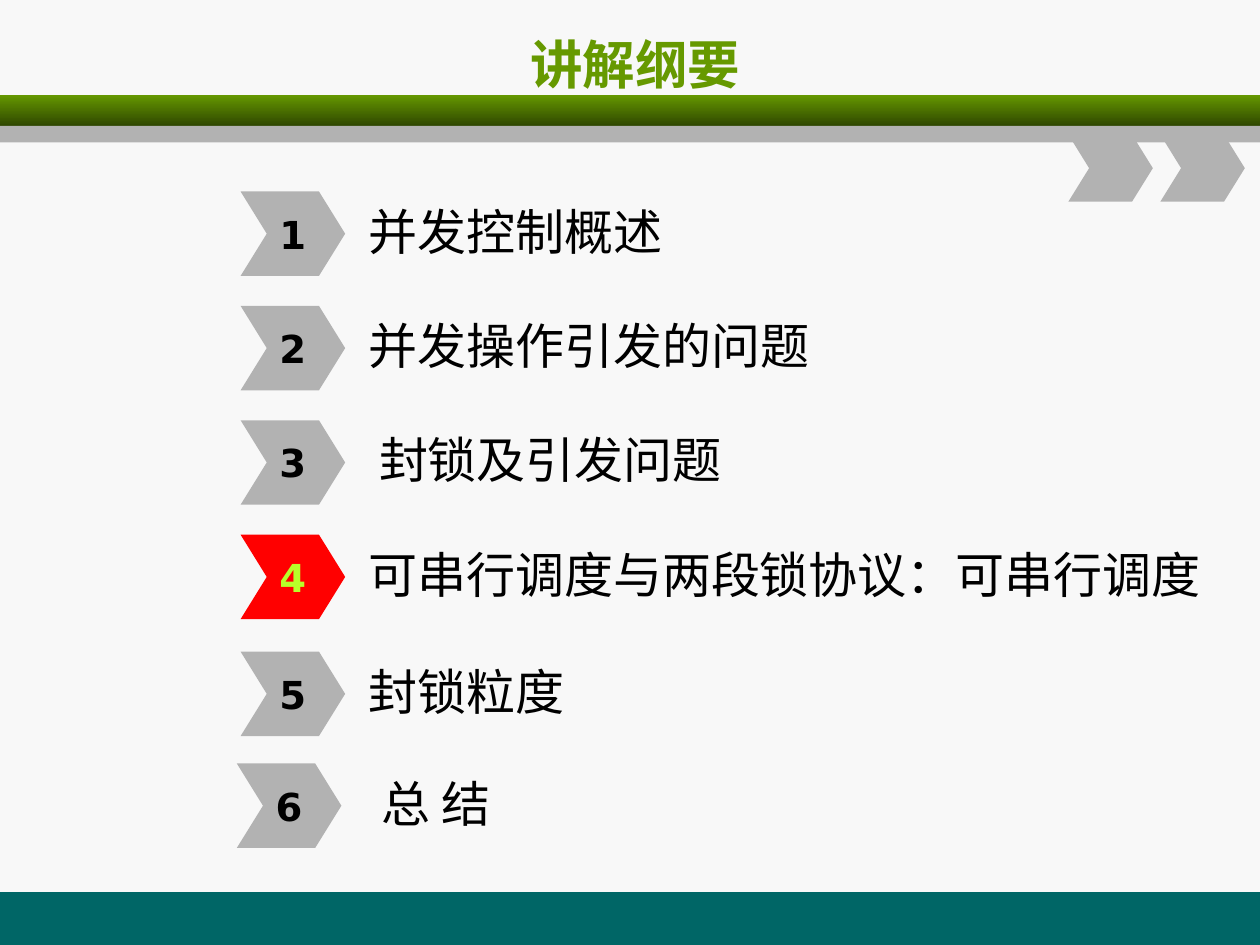
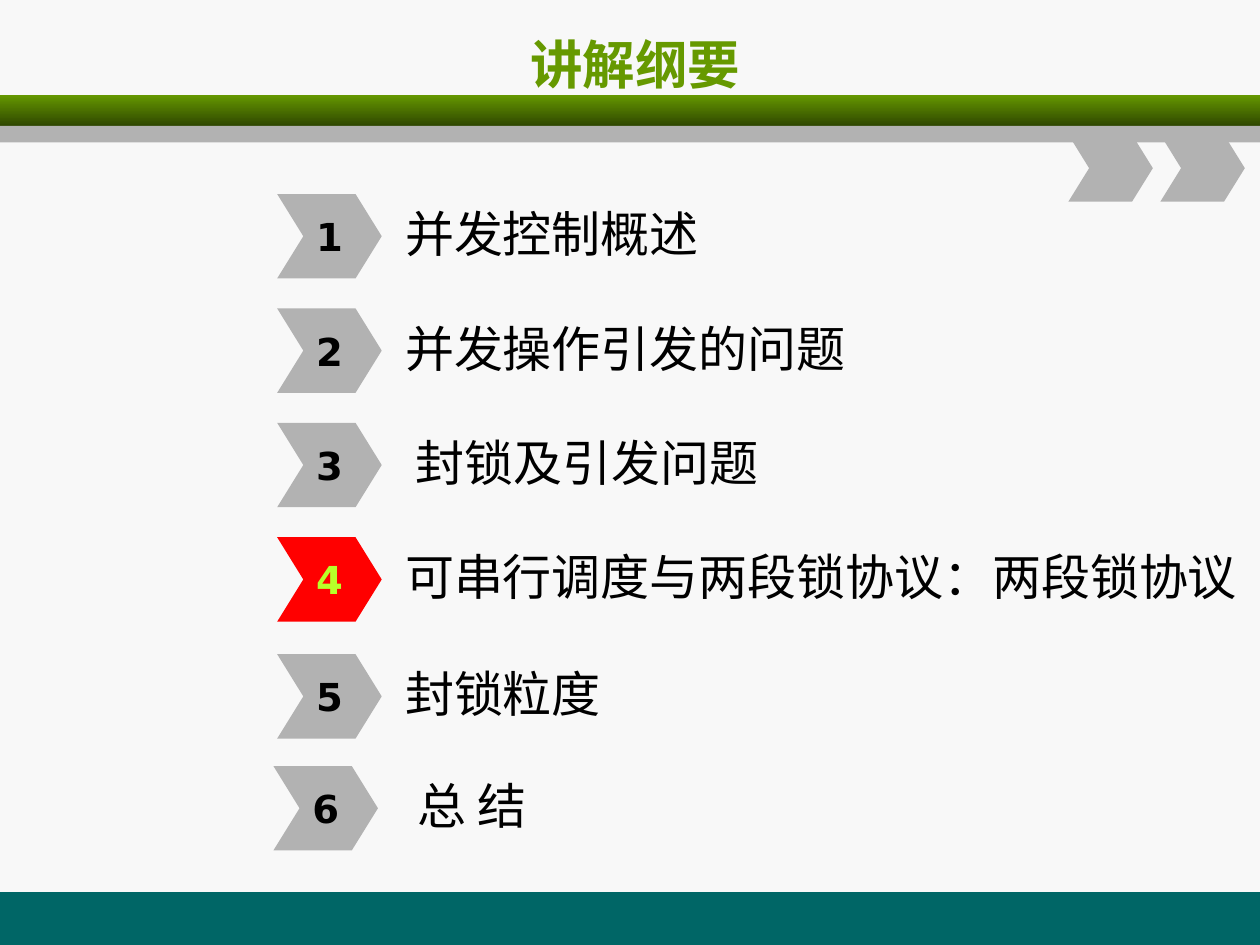
from lxml.etree import SubElement
from pptx import Presentation
from pptx.dml.color import RGBColor
from pptx.enum.shapes import MSO_SHAPE
from pptx.enum.text import MSO_ANCHOR, MSO_AUTO_SIZE, PP_ALIGN
from pptx.oxml.ns import qn
from pptx.util import Inches, Pt

COLS, ROWS = 100, 75
WIDE, HIGH = Inches(10), Inches(7.5)
SANS, HAN = "DejaVu Sans", "Noto Sans CJK SC"
GREEN, DARK, GREY, TEAL = "669900", "2F4700", "B2B2B2", "006666"
BLACK, RED, LIME, PALE = "000000", "FF0000", "B8FF29", "F8F8F8"
STEP = 9.08


def tint(code):
    return RGBColor.from_string(code)


def write(shape, text, size=28, font=HAN, color=BLACK, bold=False,
          align=PP_ALIGN.LEFT, wrap=False):
    frame = shape.text_frame
    frame.auto_size = MSO_AUTO_SIZE.NONE
    frame.word_wrap = wrap
    frame.vertical_anchor = MSO_ANCHOR.MIDDLE
    para = frame.paragraphs[0]
    para.alignment = align
    run = para.add_run()
    run.text = text
    run.font.size, run.font.bold, run.font.name = Pt(size), bold, font
    run.font.color.rgb = tint(color)
    SubElement(run.font._element, qn("a:ea")).set("typeface", HAN)


class Deck:
    def __init__(self):
        self.file = Presentation()
        self.file.slide_width, self.file.slide_height = WIDE, HIGH
        self.base = self.file.slide_layouts[5]
        self.base.background.fill.solid()
        self.base.background.fill.fore_color.rgb = tint(PALE)
        self.slide = None

    def place(self, left, top, width, height):
        return (round(left * WIDE / COLS), round(top * HIGH / ROWS),
                round(width * WIDE / COLS), round(height * HIGH / ROWS))

    def open(self, title):
        self.slide = self.file.slides.add_slide(self.base)
        head = self.slide.shapes.title
        head.left, head.top, head.width, head.height = self.place(5.4, 1.7, 90, 6.7)
        write(head, title, size=30, font=SANS, color=GREEN, bold=True,
              align=PP_ALIGN.CENTER, wrap=True)

    def shape(self, kind, spot, fill):
        item = self.slide.shapes.add_shape(kind, *self.place(*spot))
        item.shadow.inherit = False
        item.line.fill.background()
        item.fill.solid()
        item.fill.fore_color.rgb = tint(fill)
        return item

    def band(self, top, height, fill):
        return self.shape(MSO_SHAPE.RECTANGLE, (0, top, COLS, height), fill)

    def arrow(self, spot, fill=GREY):
        item = self.shape(MSO_SHAPE.CHEVRON, spot, fill)
        item.adjustments[0] = 0.31
        return item

    def label(self, text, spot):
        box = self.slide.shapes.add_textbox(*self.place(*spot))
        write(box, text)

    def frame(self):
        bar = self.band(7.5, 2.5, GREEN)
        bar.fill.gradient()
        bar.fill.gradient_angle = 270
        for stop, code, spot in zip(bar.fill.gradient_stops, (GREEN, DARK), (0, 1)):
            stop.color.rgb, stop.position = tint(code), spot
        parts = [self.band(70.8, 4.2, TEAL), bar, self.band(10, 1.3, GREY)]
        parts += [self.arrow((84.8 + 7.3 * n, 10.7, 6.7, 5.3)) for n in range(2)]
        for part in parts:
            self.base.shapes.element.append(part.element)

    def entry(self, num, text, left, top, hot=False, nudge=0, gap=8.3, width=59.2):
        mark = self.arrow((left + nudge, top, 8.3, 6.7), RED if hot else GREY)
        write(mark, str(num), size=22, font=SANS, bold=True,
              color=LIME if hot else BLACK, align=PP_ALIGN.CENTER)
        self.label(text, (left + gap, top + 0.2, width, 5.8))


def main():
    deck = Deck()
    pages = [("可串行调度", 19.1, 15.2), ("两段锁协议", 22, 15.4)]
    for page, (topic, left, top) in enumerate(pages):
        deck.open("讲解纲要")
        if page == 0:
            deck.frame()
        items = [
            (" 并发控制概述", 0, {}),
            (" 并发操作引发的问题", 0, {}),
            ("封锁及引发问题", 0, dict(gap=10, width=57.5)),
            (" 可串行调度与两段锁协议：" + topic, 0, dict(hot=True, width=67.7)),
            (" 封锁粒度", 0.2, {}),
            (" 总 结", 0, dict(nudge=-0.3, gap=9.3)),
        ]
        for row, (text, drop, style) in enumerate(items):
            deck.entry(row + 1, text, left, top + STEP * row + drop, **style)
    deck.file.save("out.pptx")


if __name__ == "__main__":
    main()
